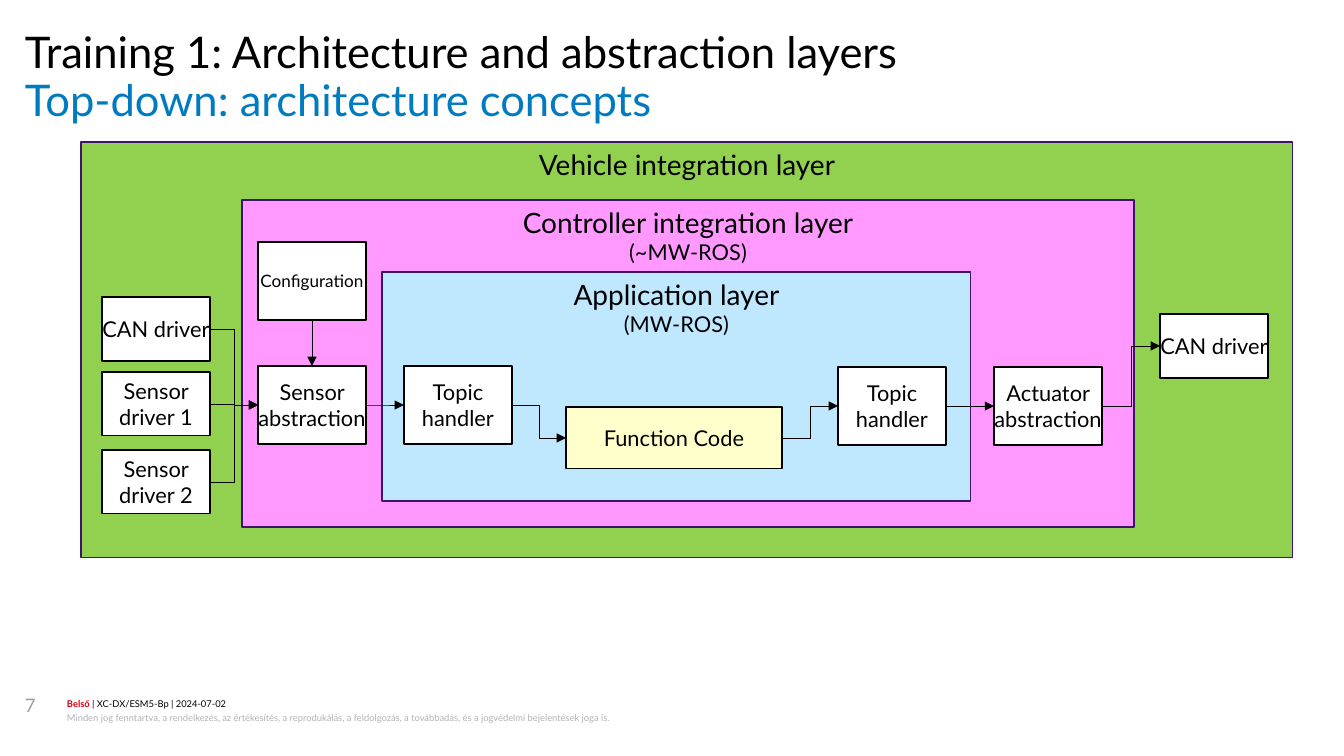
from typing import NamedTuple

from lxml.etree import SubElement
from pptx import Presentation
from pptx.dml.color import RGBColor
from pptx.enum.shapes import MSO_CONNECTOR as Connector
from pptx.enum.shapes import MSO_SHAPE as Shape
from pptx.enum.text import MSO_ANCHOR as Anchor
from pptx.enum.text import PP_ALIGN as Align
from pptx.oxml.ns import qn
from pptx.util import Emu, Pt

PX_PER_INCH = 112
FONT = "Lato"

BLACK = RGBColor(0x00, 0x00, 0x00)
WHITE = RGBColor(0xFF, 0xFF, 0xFF)
GREEN = RGBColor(0x92, 0xD0, 0x50)
PINK = RGBColor(0xFF, 0x99, 0xFF)
LIGHT_BLUE = RGBColor(0xBF, 0xE8, 0xFF)
CREAM = RGBColor(0xFF, 0xFF, 0xCC)
PURPLE = RGBColor(0x3F, 0x13, 0x6C)
TITLE_BLUE = RGBColor(0x00, 0x7B, 0xC0)
RED = RGBColor(0xD7, 0x00, 0x12)
GREY = RGBColor(0x99, 0x9F, 0xA6)
LIGHT_GREY = RGBColor(0xB2, 0xB3, 0xB5)

TOP, LEFT, BOTTOM, RIGHT = range(4)
BOX_WIDTH, DRIVER_HEIGHT, BLOCK_HEIGHT = 108, 64, 78


class Run(NamedTuple):
    text: str
    color: RGBColor = BLACK
    bold: bool = False


class Label(NamedTuple):
    left: int
    top: int
    width: int
    height: int
    size: int
    runs: list[Run]
    line_spacing: float = 1.0
    space_after: int = 0


class Layer(NamedTuple):
    left: int
    top: int
    width: int
    height: int
    fill: RGBColor
    heading: str
    note: str = ""


class Box(NamedTuple):
    text: str
    left: int
    top: int
    height: int = BLOCK_HEIGHT
    width: int = BOX_WIDTH
    fill: RGBColor = WHITE
    size: int = 14


class Arrow(NamedTuple):
    start: str
    end: str
    start_side: int = RIGHT
    end_side: int = LEFT
    kind: Connector = Connector.ELBOW


LABELS = [
    Label(67, 697, 1118, 13, 6, [Run("Belső", RED, True), Run(" | XC-DX/ESM5-Bp | 2024-07-02")], 1.07, 1),
    Label(67, 710, 1118, 27, 6, [Run(
        "Minden jog fenntartva, a rendelkezés, az értékesítés, a reprodukálás, a feldolgozás, "
        "a továbbadás, és a jogvédelmi bejelentések joga is.", LIGHT_GREY)], 1.2, 1),
    Label(25, 31, 1294, 48, 28, [Run("Training 1: Architecture and abstraction layers")], 0.89),
    Label(25, 79, 1294, 48, 28, [Run("Top-down: architecture concepts", TITLE_BLUE)], 0.89),
    Label(25, 694, 36, 50, 12, [Run("7", GREY)]),
]

LAYERS = [
    Layer(81, 142, 1212, 416, GREEN, "Vehicle integration layer"),
    Layer(242, 200, 892, 327, PINK, "Controller integration layer", "(~MW-ROS)"),
    Layer(382, 272, 589, 229, LIGHT_BLUE, "Application layer", "(MW-ROS)"),
]

BOXES = {
    "can in": Box("CAN driver", 102, 297, DRIVER_HEIGHT),
    "sensor 1": Box("Sensor driver 1", 102, 372, DRIVER_HEIGHT),
    "sensor 2": Box("Sensor driver 2", 102, 450, DRIVER_HEIGHT),
    "configuration": Box("Configuration", 258, 242, size=11),
    "sensor": Box("Sensor abstraction", 258, 366),
    "topic in": Box("Topic handler", 404, 366),
    "function": Box("Function Code", 566, 407, 62, 216, CREAM),
    "topic out": Box("Topic handler", 838, 367),
    "actuator": Box("Actuator abstraction", 994, 367),
    "can out": Box("CAN driver", 1160, 314, DRIVER_HEIGHT),
}

ARROWS = [
    Arrow("configuration", "sensor", BOTTOM, TOP, Connector.STRAIGHT),
    Arrow("can in", "sensor"),
    Arrow("sensor 1", "sensor"),
    Arrow("sensor 2", "sensor"),
    Arrow("sensor", "topic in"),
    Arrow("topic in", "function"),
    Arrow("function", "topic out"),
    Arrow("topic out", "actuator"),
    Arrow("actuator", "can out"),
]


def px(length: int) -> Emu:
    return Emu(round(length * 914400 / PX_PER_INCH))


def bounds(item: Label | Layer | Box) -> list[Emu]:
    return [px(length) for length in (item.left, item.top, item.width, item.height)]


def set_font(paragraph, size: int) -> None:
    paragraph.font.name = FONT
    paragraph.font.size = Pt(size)


def remove_margins(frame) -> None:
    frame.margin_left = frame.margin_top = frame.margin_right = frame.margin_bottom = 0


def add_label(slide, label: Label) -> None:
    frame = slide.shapes.add_textbox(*bounds(label)).text_frame
    frame.word_wrap = True
    remove_margins(frame)
    paragraph = frame.paragraphs[0]
    paragraph.line_spacing = label.line_spacing
    paragraph.space_after = Pt(label.space_after)
    set_font(paragraph, label.size)
    for part in label.runs:
        run = paragraph.add_run()
        run.text = part.text
        run.font.color.rgb = part.color
        run.font.bold = part.bold


def add_rectangle(slide, item: Layer | Box, line_color: RGBColor, lines: list[tuple[str, int]]):
    """Draw a filled rectangle with one centred paragraph per (text, size) pair."""
    shape = slide.shapes.add_shape(Shape.RECTANGLE, *bounds(item))
    shape.shadow.inherit = False
    shape.fill.solid()
    shape.fill.fore_color.rgb = item.fill
    shape.line.color.rgb = line_color
    shape.line.width = Pt(0.75)
    frame = shape.text_frame
    frame.word_wrap = True
    frame.text = "\n".join(text for text, _ in lines)
    for paragraph, (_, size) in zip(frame.paragraphs, lines):
        paragraph.alignment = Align.CENTER
        set_font(paragraph, size)
        paragraph.font.color.rgb = BLACK
    return shape


def add_layer(slide, layer: Layer) -> None:
    lines = [(layer.heading, 18)] + ([(layer.note, 14)] if layer.note else [])
    shape = add_rectangle(slide, layer, PURPLE, lines)
    shape.text_frame.vertical_anchor = Anchor.TOP


def add_box(slide, box: Box):
    shape = add_rectangle(slide, box, BLACK, [(box.text, box.size)])
    frame = shape.text_frame
    remove_margins(frame)
    frame.vertical_anchor = Anchor.MIDDLE
    frame.paragraphs[0].space_before = Pt(5)
    return shape


def add_arrow(slide, arrow: Arrow, shapes: dict) -> None:
    connector = slide.shapes.add_connector(arrow.kind, 0, 0, 0, 0)
    connector.begin_connect(shapes[arrow.start], arrow.start_side)
    connector.end_connect(shapes[arrow.end], arrow.end_side)
    connector.line.color.rgb = BLACK
    connector.line.width = Pt(0.5)
    SubElement(connector.line._get_or_add_ln(), qn("a:tailEnd"), type="triangle")
    SubElement(connector._element.spPr, qn("a:effectLst"))


def main() -> None:
    presentation = Presentation()
    presentation.slide_width, presentation.slide_height = px(1344), px(756)
    slide = presentation.slides.add_slide(presentation.slide_layouts[6])
    for label in LABELS:
        add_label(slide, label)
    for layer in LAYERS:
        add_layer(slide, layer)
    shapes = {name: add_box(slide, box) for name, box in BOXES.items()}
    for arrow in ARROWS:
        add_arrow(slide, arrow, shapes)
    presentation.save("out.pptx")


if __name__ == "__main__":
    main()
